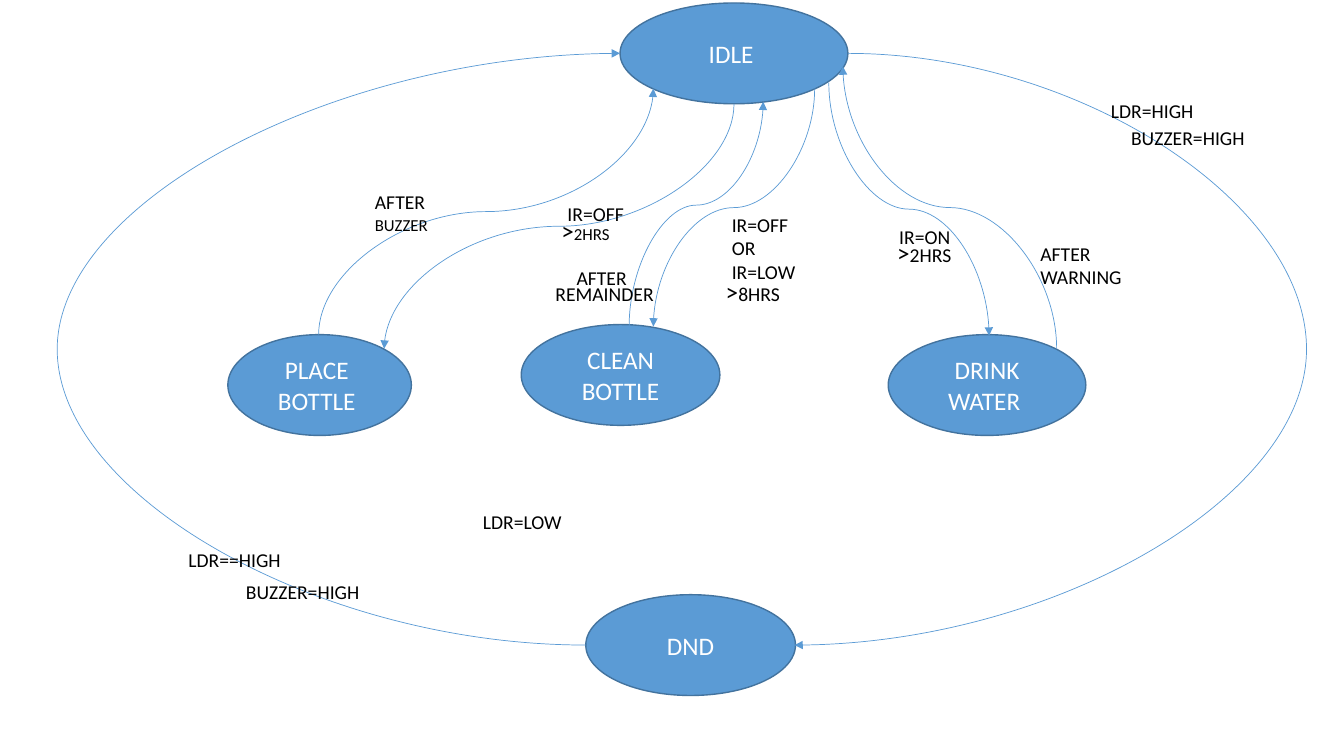
from lxml import etree
from pptx import Presentation
from pptx import util as u
from pptx.dml.color import RGBColor
from pptx.enum import shapes, text
from pptx.oxml.ns import qn

COLORS = {"state": "5B9BD5", "border": "43739E", "caption": "FFFFFF", "label": "000000"}

STATES = [
    ("IDLE ", 6.15, 0.03, 2.26),
    ("PLACE  BOTTLE ", 2.26, 3.32, 1.82),
    ("CLEAN BOTTLE", 5.17, 3.22, 1.97),
    ("DRINK WATER ", 8.81, 3.32, 1.96),
    ("DND", 5.81, 5.9, 2.08),
]

INNER_TRANSITIONS = [
    ((7.28, 1.03), (3.81, 3.46), 0.5),
    ((3.16, 3.32), (6.48, 0.88), 0.5),
    ((8.08, 0.88), (6.48, 3.24), 0.5),
    ((6.24, 3.24), (7.57, 1.01), 0.54),
    ((8.22, 0.82), (9.81, 3.33), 0.5),
    ((10.48, 3.46), (8.36, 0.66), 0.5),
]

OUTER_TRANSITIONS = [
    ((8.41, 0.53), (7.88, 6.4), 12.96),
    ((5.81, 6.4), (6.15, 0.53), 0.57),
]

LABELS = [
    (1.77, 5.39, 1.13, 0.34, [[("LDR==HIGH", 14)]]),
    (3.62, 1.78, 0.76, 0.63, [[("AFTER", 14), (" ", 18)], [("BUZZER", 12)]]),
    (5.53, 1.95, 0.76, 0.34, [[("IR=OFF", 14)]]),
    (5.47, 2.09, 0.69, 0.4, [[(">", 18), ("2HRS", 12)]]),
    (5.62, 2.53, 0.76, 0.4, [[("AFTER", 14), (" ", 18)]]),
    (5.41, 2.69, 1.25, 0.4, [[("REMAINDER", 14), (" ", 18)]]),
    (7.16, 2.06, 0.84, 0.81, [[("IR=OFF", 14)], [("OR", 14)], [("IR=LOW", 14)]]),
    (7.1, 2.69, 0.74, 0.4, [[(">", 18), ("8HRS", 14)]]),
    (8.82, 2.18, 0.71, 0.34, [[("IR=ON", 14)]]),
    (8.8, 2.31, 0.74, 0.4, [[(">", 18), ("2HRS", 14)]]),
    (10.22, 2.35, 1.06, 0.57, [[("AFTER", 14)], [("WARNING ", 14)]]),
    (10.92, 0.93, 1.03, 0.34, [[("LDR=HIGH", 14)]]),
    (4.69, 5.01, 0.99, 0.34, [[("LDR=LOW", 14)]]),
    (2.34, 5.7, 1.34, 0.34, [[("BUZZER=HIGH", 14)]]),
    (11.12, 1.2, 1.34, 0.34, [[("BUZZER=HIGH", 14)]]),
]


def rgb(name):
    """Return the named colour."""
    return RGBColor.from_string(COLORS[name])


def write(paragraph, wording, size=18, color="label", font="Calibri"):
    """Append one formatted run to a paragraph."""
    run = paragraph.add_run()
    run.text = wording
    run.font.size = u.Pt(size)
    run.font.name = font
    run.font.color.rgb = rgb(color)


def add_state(slide, name, left, top, width):
    """Draw a state as a captioned ellipse one inch high."""
    state = slide.shapes.add_shape(
        shapes.MSO_SHAPE.OVAL, u.Inches(left), u.Inches(top), u.Inches(width), u.Inches(1))
    state.shadow.inherit = False
    state.fill.solid()
    state.fill.fore_color.rgb = rgb("state")
    state.line.color.rgb = rgb("border")
    state.line.width = u.Pt(1)
    frame = state.text_frame
    frame.word_wrap = True
    frame.vertical_anchor = text.MSO_ANCHOR.MIDDLE
    caption = frame.paragraphs[0]
    caption.alignment = text.PP_ALIGN.CENTER
    write(caption, name, color="caption")


def add_curve(slide, start, end, bend):
    """Draw a curved arrow whose midpoint lies at the fraction bend of its run."""
    arrow = slide.shapes.add_connector(
        shapes.MSO_CONNECTOR.CURVE, *(u.Inches(value) for value in (*start, *end)))
    arrow.line.color.rgb = rgb("state")
    arrow.line.width = u.Pt(0.5)
    properties = arrow._element.spPr
    etree.SubElement(properties.find(qn("a:ln")), qn("a:tailEnd"), type="triangle")
    etree.SubElement(properties, qn("a:effectLst"))
    adjustments = properties.find(qn("a:prstGeom")).get_or_add_avLst()
    etree.SubElement(adjustments, qn("a:gd"), name="adj1", fmla=f"val {round(bend * 100000)}")
    return arrow


def add_inner_transition(slide, start, end, bend):
    """Draw a curve that leaves and arrives vertically, as a turned connector."""
    (x0, y0), (x1, y1) = start, end
    turn = 1 if (x1 - x0) * (y1 - y0) < 0 else -1
    mid_x, mid_y = (x0 + x1) / 2, (y0 + y1) / 2
    half_x, half_y = turn * (y1 - y0) / 2, turn * (x0 - x1) / 2
    arrow = add_curve(
        slide, (mid_x - half_x, mid_y - half_y), (mid_x + half_x, mid_y + half_y), bend)
    degrees = 90 * turn % 360
    arrow._element.spPr.find(qn("a:xfrm")).set("rot", str(degrees * 60000))


def add_outer_transition(slide, start, end, reach):
    """Draw a curve that swings sideways out to the position reach."""
    add_curve(slide, start, end, (reach - start[0]) / (end[0] - start[0]))


def add_label(slide, left, top, width, height, lines):
    """Place a transition label made of lines of sized runs."""
    label = slide.shapes.add_textbox(*(u.Inches(value) for value in (left, top, width, height)))
    frame = label.text_frame
    frame.word_wrap = False
    frame.auto_size = text.MSO_AUTO_SIZE.SHAPE_TO_FIT_TEXT
    for index, runs in enumerate(lines):
        paragraph = frame.add_paragraph() if index else frame.paragraphs[0]
        for wording, size in runs:
            write(paragraph, wording, size=size)


def main():
    """Build the state diagram and save it."""
    deck = Presentation()
    deck.slide_width, deck.slide_height = u.Inches(13.33), u.Inches(7.5)
    slide = deck.slides.add_slide(deck.slide_layouts[6])
    for state in STATES:
        add_state(slide, *state)
    for transition in INNER_TRANSITIONS:
        add_inner_transition(slide, *transition)
    for transition in OUTER_TRANSITIONS:
        add_outer_transition(slide, *transition)
    for label in LABELS:
        add_label(slide, *label)
    deck.save("out.pptx")


main()
